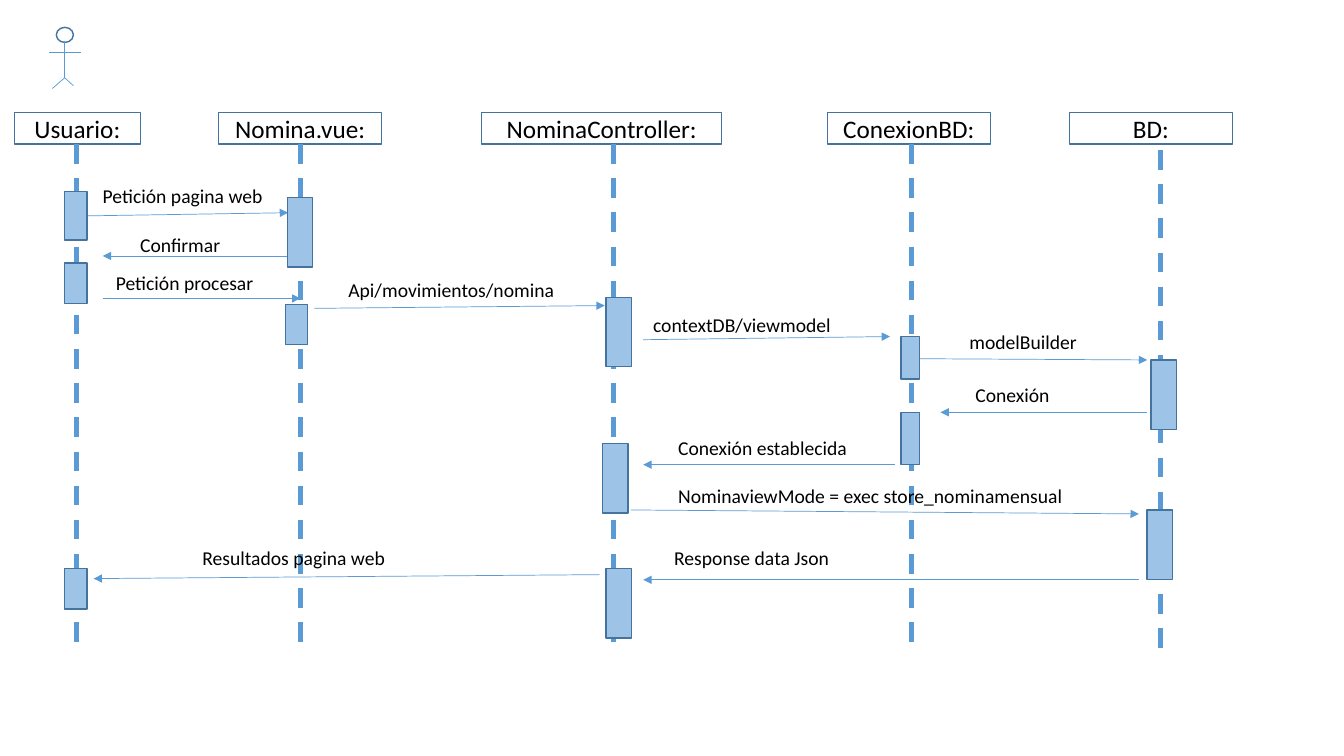
"""Build a sequence diagram of the payroll request, from the user to the database."""
from dataclasses import dataclass

from lxml.etree import SubElement
from pptx import Presentation
from pptx.dml.color import RGBColor
from pptx.enum.dml import MSO_LINE
from pptx.enum.shapes import MSO_CONNECTOR, MSO_SHAPE
from pptx.enum.text import MSO_ANCHOR, MSO_AUTO_SIZE, PP_ALIGN
from pptx.oxml.ns import qn
from pptx.util import Cm, Pt


@dataclass(frozen=True)
class Theme:
    font: str = "Calibri"
    ink: RGBColor = RGBColor(0, 0, 0)
    outline: RGBColor = RGBColor(0x43, 0x73, 0x9E)
    stroke: RGBColor = RGBColor(0x5B, 0x9B, 0xD5)
    bar: RGBColor = RGBColor(0x9D, 0xC3, 0xE6)
    head_size: Pt = Pt(18)
    label_size: Pt = Pt(14)
    outline_width: Pt = Pt(1)
    thin: Pt = Pt(0.5)
    thick: Pt = Pt(3.5)


THEME = Theme()
HEAD_TOP, HEAD_HEIGHT = 2.84, 0.79
LIFELINE_LENGTH, LABEL_HEIGHT = 12.85, 0.86

# name, head left, head width, lifeline x, lifeline top, bars (left, top, width, height)
PARTICIPANTS = [
    ("Usuario:", 0.36, 3.18, 1.93, 3.63,
     [(1.63, 4.83, 0.56, 1.22), (1.63, 6.63, 0.56, 1.02), (1.63, 14.33, 0.56, 1.02)]),
    ("Nomina.vue:", 5.51, 4.11, 7.57, 3.63,
     [(7.24, 4.98, 0.64, 1.75), (7.19, 7.67, 0.56, 1.02)]),
    ("NominaController:", 12.14, 6.05, 15.47, 3.63,
     [(15.27, 7.49, 0.64, 1.75), (15.19, 11.18, 0.64, 1.75), (15.27, 14.33, 0.64, 1.75)]),
    ("ConexionBD:", 20.85, 4.11, 22.96, 3.63,
     [(22.71, 8.48, 0.46, 1.07), (22.71, 10.39, 0.46, 1.32)]),
    ("BD:", 26.95, 4.11, 29.24, 3.78,
     [(29.01, 9.07, 0.64, 1.75), (28.91, 12.85, 0.64, 1.75)]),
]

MESSAGES = [
    ("Petición pagina web", (2.16, 5.44, 7.26, 5.36), (2.34, 4.5, 4.6), False),
    ("Confirmar", (7.57, 6.45, 2.59, 6.45), (3.28, 5.74, 2.57), False),
    ("Petición procesar", (2.59, 7.52, 7.57, 7.52), (2.67, 6.71, 4.01), False),
    ("Api/movimientos/nomina", (7.92, 7.77, 15.24, 7.7), (8.53, 6.88, 6.73), True),
    ("contextDB/viewmodel", (16.21, 8.56, 22.43, 8.48), (16.21, 7.75, 6.73), True),
    ("modelBuilder", (23.16, 9.04, 28.91, 9.07), (24.18, 8.18, 3.25), False),
    ("Conexión", (28.91, 10.39, 23.7, 10.39), (24.33, 9.53, 2.41), False),
    ("Conexión establecida", (22.56, 11.71, 16.21, 11.71), (16.84, 10.87, 4.95), True),
    ("NominaviewMode = exec store_nominamensual",
     (15.9, 12.85, 28.7, 12.95), (16.84, 12.07, 11.4), True),
    ("Response data Json", (28.7, 14.61, 16.21, 14.61), (16.74, 13.64, 11.4), True),
    ("Resultados pagina web", (15.11, 14.48, 2.36, 14.58), (4.85, 13.64, 6.73), True),
]

ACTOR_HEAD = (1.42, 0.69, 0.43, 0.38)
ACTOR_LIMBS = [
    (1.63, 1.04, 1.63, 1.96),
    (1.24, 1.31, 2.03, 1.31),
    (1.63, 1.96, 1.85, 2.16),
    (1.63, 1.96, 1.32, 2.23),
]


def add_outlined(shapes, preset, box, fill=None):
    """Add a preset shape with the common outline."""
    outlined = shapes.add_shape(preset, *map(Cm, box))
    outlined.shadow.inherit = False
    if fill is None:
        outlined.fill.background()
    else:
        outlined.fill.solid()
        outlined.fill.fore_color.rgb = fill
    outlined.line.color.rgb = THEME.outline
    outlined.line.width = THEME.outline_width
    return outlined


def add_stroke(shapes, ends, width=THEME.thin, dash=None, arrow=False):
    """Add a straight line, dashed or with an arrowhead at its end."""
    stroke = shapes.add_connector(MSO_CONNECTOR.STRAIGHT, *map(Cm, ends))
    stroke.line.color.rgb = THEME.stroke
    stroke.line.width = width
    if dash is not None:
        stroke.line.dash_style = dash
    properties = stroke._element.spPr
    if arrow:
        SubElement(properties.find(qn("a:ln")), qn("a:tailEnd"), type="triangle")
    SubElement(properties, qn("a:effectLst"))


def write(frame, wording, size, align):
    """Put one line of text in a frame and format it."""
    frame.text = wording
    line = frame.paragraphs[0]
    line.alignment = align
    font = line.runs[0].font
    font.name, font.size, font.color.rgb = THEME.font, size, THEME.ink


def add_label(shapes, wording, left, top, width, wrap):
    """Add the wording of a message."""
    frame = shapes.add_textbox(*map(Cm, (left, top, width, LABEL_HEIGHT))).text_frame
    frame.word_wrap = wrap
    frame.auto_size = MSO_AUTO_SIZE.SHAPE_TO_FIT_TEXT
    write(frame, wording, THEME.label_size, PP_ALIGN.LEFT)


def main():
    """Draw the actor, the participants, the messages and the bars."""
    deck = Presentation()
    deck.slide_width, deck.slide_height = Cm(33.87), Cm(19.05)
    shapes = deck.slides.add_slide(deck.slide_layouts[6]).shapes

    actor = shapes.add_group_shape().shapes
    add_outlined(actor, MSO_SHAPE.OVAL, ACTOR_HEAD)
    for limb in ACTOR_LIMBS:
        add_stroke(actor, limb)

    for name, left, width, x, top, _ in PARTICIPANTS:
        head = add_outlined(shapes, MSO_SHAPE.RECTANGLE, (left, HEAD_TOP, width, HEAD_HEIGHT))
        head.text_frame.vertical_anchor = MSO_ANCHOR.MIDDLE
        write(head.text_frame, name, THEME.head_size, PP_ALIGN.CENTER)
        add_stroke(shapes, (x, top, x, top + LIFELINE_LENGTH), THEME.thick, MSO_LINE.DASH)

    for wording, ends, place, wrap in MESSAGES:
        add_stroke(shapes, ends, arrow=True)
        add_label(shapes, wording, *place, wrap)

    for *_, bars in PARTICIPANTS:
        for bar in bars:
            add_outlined(shapes, MSO_SHAPE.RECTANGLE, bar, THEME.bar)

    deck.save("out.pptx")


main()
